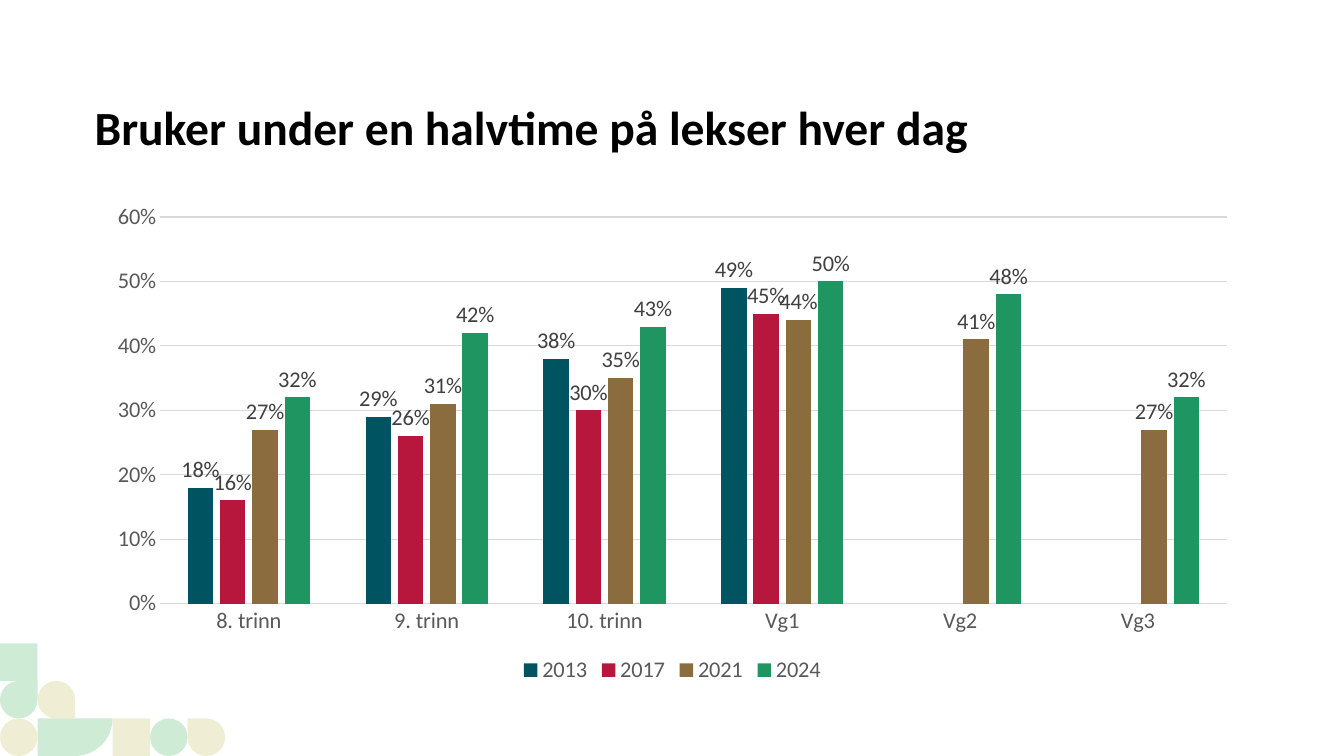
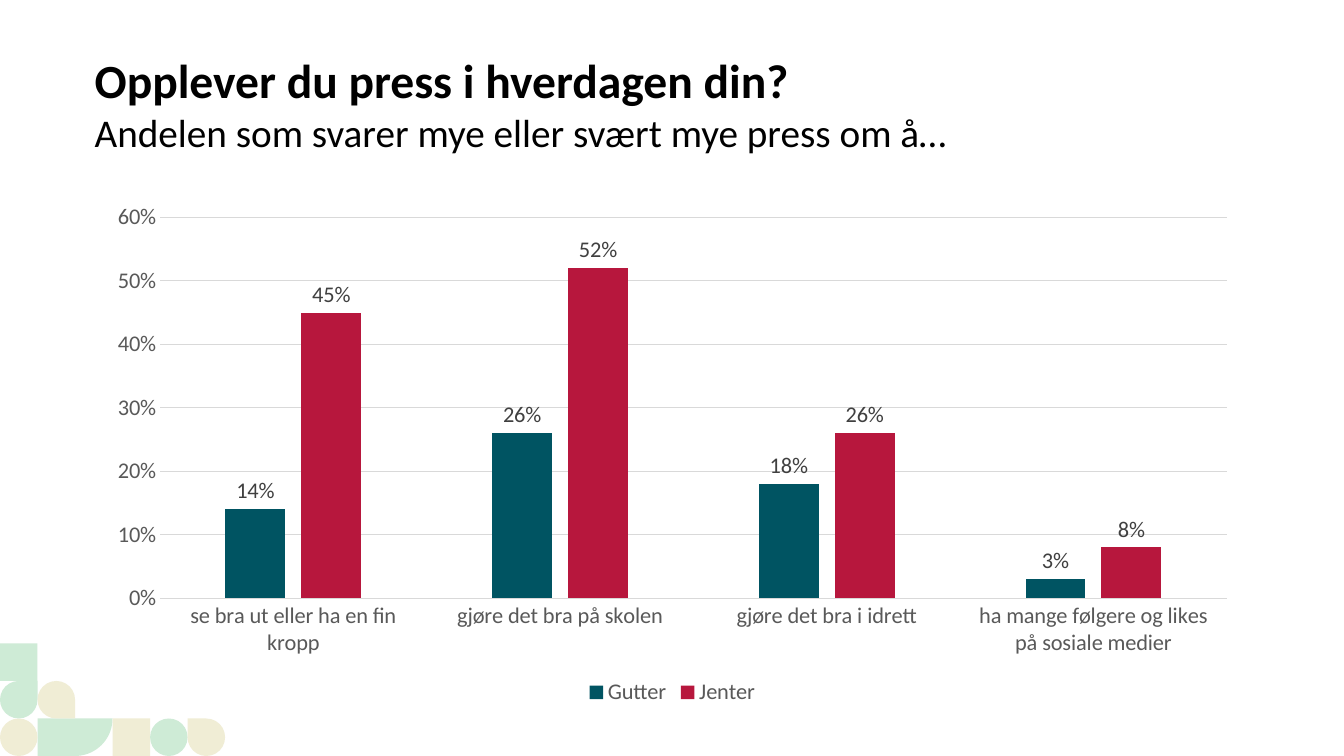
from math import cos, radians, sin

from pptx import Presentation
from pptx.chart.data import CategoryChartData
from pptx.dml.color import RGBColor
from pptx.enum.chart import XL_CHART_TYPE as ChartType
from pptx.enum.chart import XL_LABEL_POSITION as LabelPosition
from pptx.enum.chart import XL_LEGEND_POSITION as LegendPosition
from pptx.enum.chart import XL_TICK_MARK as TickMark
from pptx.enum.shapes import MSO_SHAPE as Shape
from pptx.enum.text import MSO_ANCHOR as Anchor
from pptx.util import Pt

COLORS = {
    "title": "000000", "axis": "595959", "label": "404040", "grid": "D9D9D9",
    "mint": "CEEBD6", "sand": "F0EDD5",
    "teal": "005462", "red": "B7173D", "brown": "8A6C3E", "green": "1F9562",
}
SERIES_COLORS = ["teal", "red", "brown", "green"]
FONT = "Calibri"
WIDTH, HEIGHT = 960, 540
LEFT, CONTENT_WIDTH = 67.7, 825.1
TITLE_TOP, TITLE_HEIGHT = 69.8, 41
CHART_TOP = 138.2
TILE = 26.8

TILES = [
    (3, 0, Shape.RECTANGLE, "sand", 0),
    (0, 0, Shape.OVAL, "sand", 0),
    (4, 0, Shape.OVAL, "mint", 0),
    (0, 2, Shape.RECTANGLE, "mint", 0),
    (0, 1, Shape.TEAR, "mint", 0),
    (1, 1, Shape.TEAR, "sand", 90),
    (5, 0, Shape.TEAR, "sand", 270),
]


def color(name):
    return RGBColor.from_string(COLORS[name])


def set_values(target, values):
    for name, value in values.items():
        setattr(target, name, value)


class Deck:
    """Holds the shared style and the current slide."""

    def __init__(self):
        self.presentation = Presentation()
        set_values(self.presentation, {"slide_width": Pt(WIDTH), "slide_height": Pt(HEIGHT)})
        self.slide = None

    def add_slide(self):
        self.slide = self.presentation.slides.add_slide(self.presentation.slide_layouts[6])
        self.add_corner_pattern()

    def style_font(self, font, size, color_name, bold=False):
        set_values(font, {"name": FONT, "size": Pt(size), "bold": bold})
        font.color.rgb = color(color_name)

    def fill_shape(self, shape, color_name):
        shape.shadow.inherit = False
        shape.fill.solid()
        shape.fill.fore_color.rgb = color(color_name)
        shape.line.fill.background()

    def add_corner_pattern(self):
        self.add_quarter_tile()
        for column, row, kind, color_name, rotation in TILES:
            shape = self.slide.shapes.add_shape(
                kind, Pt(column * TILE), Pt(HEIGHT - (row + 1) * TILE), Pt(TILE), Pt(TILE))
            shape.rotation = rotation
            self.fill_shape(shape, color_name)

    def add_quarter_tile(self):
        top = HEIGHT - TILE
        arc = [(Pt(2 * TILE + TILE * cos(radians(angle))), Pt(top + TILE * sin(radians(angle))))
               for angle in range(0, 91, 5)]
        builder = self.slide.shapes.build_freeform(Pt(TILE), Pt(top))
        builder.add_line_segments(arc + [(Pt(TILE), Pt(HEIGHT))], close=True)
        self.fill_shape(builder.convert_to_shape(), "mint")

    def add_title(self, title, subtitle=None):
        box = self.slide.shapes.add_textbox(
            Pt(LEFT), Pt(TITLE_TOP), Pt(CONTENT_WIDTH), Pt(TITLE_HEIGHT))
        frame = box.text_frame
        set_values(frame, {
            "word_wrap": True, "vertical_anchor": Anchor.BOTTOM,
            "margin_left": 0, "margin_right": 0, "margin_top": 0, "margin_bottom": 0,
        })
        paragraph = frame.paragraphs[0]
        self.add_run(paragraph, title, 34, True)
        if subtitle:
            paragraph.add_line_break()
            self.add_run(paragraph, subtitle, 28, False)

    def add_run(self, paragraph, text, size, bold):
        run = paragraph.add_run()
        run.text = text
        self.style_font(run.font, size, "title", bold)

    def add_column_chart(self, height, categories, series, number_format):
        data = CategoryChartData(number_format=number_format)
        data.categories = categories
        for name, values in series.items():
            data.add_series(name, values)
        chart = self.slide.shapes.add_chart(
            ChartType.COLUMN_CLUSTERED, Pt(LEFT), Pt(CHART_TOP),
            Pt(CONTENT_WIDTH), Pt(height), data).chart
        set_values(chart, {"has_title": False, "has_legend": True})
        self.style_font(chart.font, 16, "title")
        set_values(chart.legend, {"position": LegendPosition.BOTTOM, "include_in_layout": False})
        self.style_font(chart.legend.font, 16, "axis")
        self.style_axes(chart, number_format)
        self.style_columns(chart.plots[0], number_format)

    def style_axes(self, chart, number_format):
        for axis in (chart.category_axis, chart.value_axis):
            set_values(axis, {"major_tick_mark": TickMark.NONE, "minor_tick_mark": TickMark.NONE})
            self.style_font(axis.tick_labels.font, 16, "axis")
        value_axis = chart.value_axis
        set_values(value_axis, {
            "minimum_scale": 0, "maximum_scale": 0.6, "major_unit": 0.1,
            "has_major_gridlines": True,
        })
        set_values(value_axis.tick_labels, {
            "number_format": number_format, "number_format_is_linked": False})
        value_axis.format.line.fill.background()
        for part in (chart.category_axis, value_axis.major_gridlines):
            part.format.line.width = Pt(0.75)
            part.format.line.color.rgb = color("grid")

    def style_columns(self, plot, number_format):
        set_values(plot, {
            "gap_width": 219, "overlap": -27,
            "vary_by_categories": False, "has_data_labels": True,
        })
        set_values(plot.data_labels, {
            "show_value": True, "position": LabelPosition.OUTSIDE_END,
            "number_format": number_format, "number_format_is_linked": False,
        })
        self.style_font(plot.data_labels.font, 16, "label")
        for series, color_name in zip(plot.series, SERIES_COLORS):
            series.format.fill.solid()
            series.format.fill.fore_color.rgb = color(color_name)

    def save(self):
        self.presentation.save("out.pptx")


def main():
    deck = Deck()

    deck.add_slide()
    deck.add_title("Bruker under en halvtime på lekser hver dag")
    deck.add_column_chart(
        353.5,
        ["8. trinn", "9. trinn", "10. trinn", "Vg1", "Vg2", "Vg3"],
        {
            "2013": [0.18, 0.29, 0.38, 0.49, None, None],
            "2017": [0.16, 0.26, 0.30, 0.45, None, None],
            "2021": [0.27, 0.31, 0.35, 0.44, 0.41, 0.27],
            "2024": [0.32, 0.42, 0.43, 0.50, 0.48, 0.32],
        },
        "###0%")

    deck.add_slide()
    deck.add_title("Opplever du press i hverdagen din?",
                   "Andelen som svarer mye eller svært mye press om å…")
    deck.add_column_chart(
        369.4,
        ["se bra ut eller ha en fin kropp", "gjøre det bra på skolen",
         "gjøre det bra i idrett", "ha mange følgere og likes på sosiale medier"],
        {
            "Gutter": [0.14, 0.26, 0.18, 0.03],
            "Jenter": [0.45, 0.52, 0.26, 0.08],
        },
        "0%")

    deck.save()


if __name__ == "__main__":
    main()
